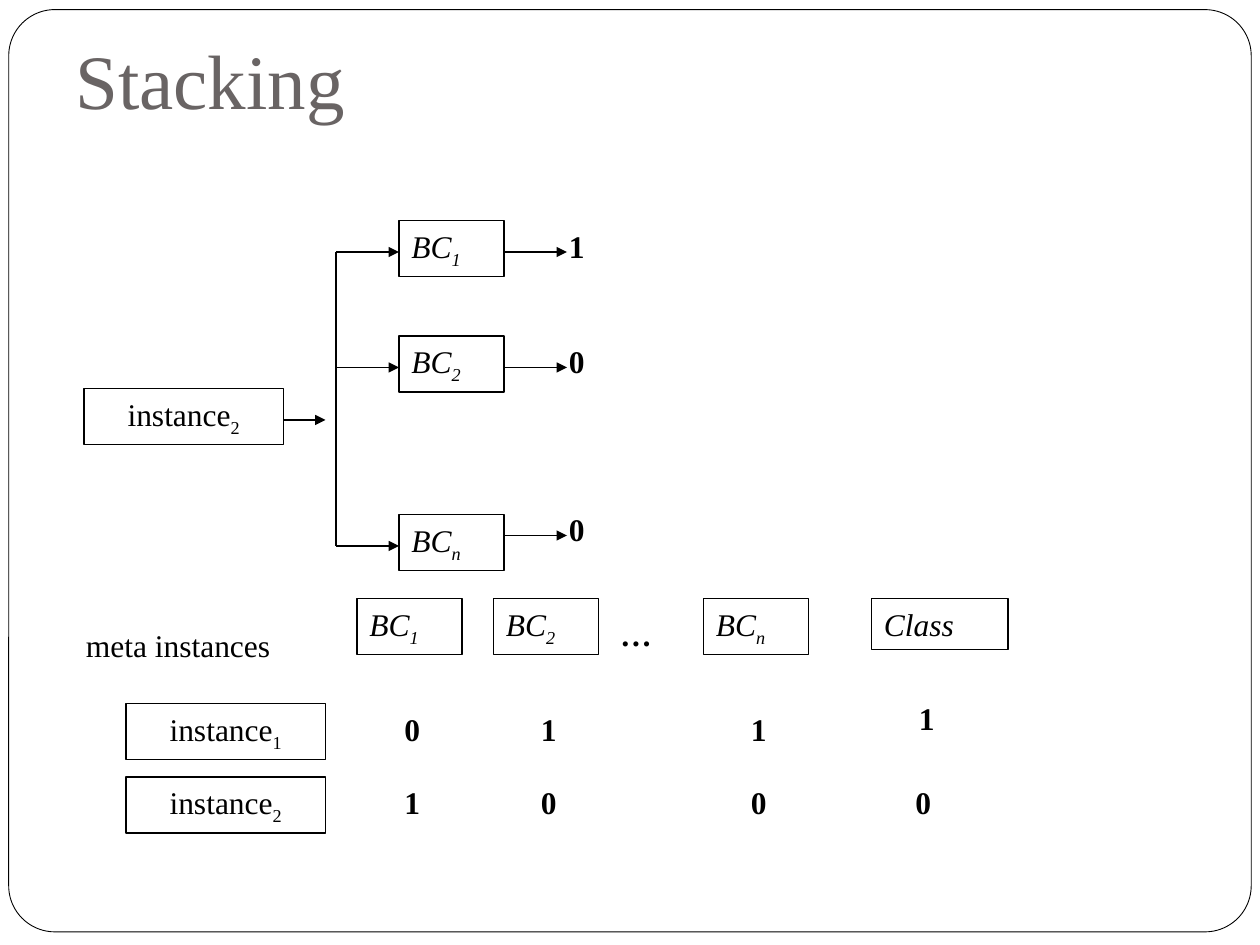
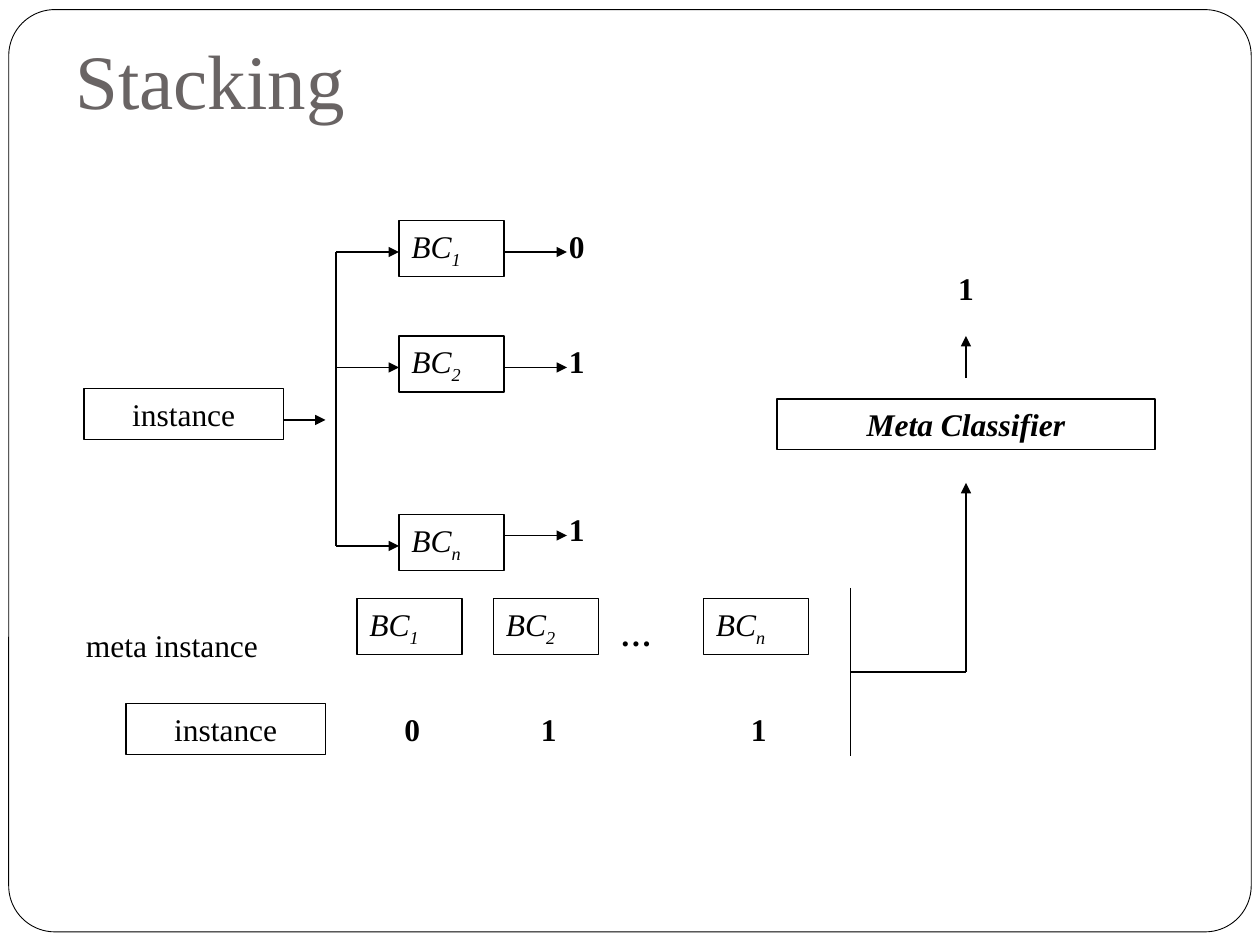
from dataclasses import dataclass

from lxml.etree import SubElement
from pptx import Presentation
from pptx.dml.color import RGBColor
from pptx.enum.shapes import MSO_CONNECTOR, MSO_SHAPE
from pptx.enum.text import MSO_ANCHOR, PP_ALIGN
from pptx.oxml.ns import qn
from pptx.util import Pt

BLACK = RGBColor(0, 0, 0)
WHITE = RGBColor(255, 255, 255)
TITLE_GREY = RGBColor(0x69, 0x64, 0x64)
FONT = "Times New Roman"
PLAIN_HEIGHT = 29
SUBSCRIPT_HEIGHT = 32
CLASSIFIER_WIDTH = 60
INSTANCE_WIDTH = 114
SUBSCRIPTS = ("1", "2", "n")


@dataclass
class Box:
    """A region given in points."""
    left: float
    top: float
    width: float
    height: float

    def inside(self, left, top, width, height):
        """Return a box placed relative to this one."""
        return Box(self.left + left, self.top + top, width, height)

    def lengths(self):
        """Return the four lengths that a new shape needs."""
        return Pt(self.left), Pt(self.top), Pt(self.width), Pt(self.height)


def write(shape, text, subscript="", size=18, color=BLACK, bold=False, italic=False,
          align=PP_ALIGN.LEFT, anchor=MSO_ANCHOR.TOP):
    """Put one line of text, with an optional subscript, into a shape."""
    text_frame = shape.text_frame
    text_frame.word_wrap = True
    text_frame.vertical_anchor = anchor
    paragraph = text_frame.paragraphs[0]
    paragraph.text = text
    paragraph.alignment = align
    if subscript:
        run = paragraph.add_run()
        run.text = subscript
        run._r.get_or_add_rPr().set("baseline", "-25000")
    for run in paragraph.runs:
        run.font.name = FONT
        run.font.size = Pt(size)
        run.font.bold = bold
        run.font.italic = italic
        run.font.color.rgb = color


def add_label(slide, box, text, **style):
    """Add text without an outline."""
    write(slide.shapes.add_textbox(*box.lengths()), text, **style)


def add_outlined(slide, box, text, **style):
    """Add text in a thin black rectangle."""
    shape = slide.shapes.add_shape(MSO_SHAPE.RECTANGLE, *box.lengths())
    shape.shadow.inherit = False
    shape.fill.background()
    shape.line.color.rgb = BLACK
    shape.line.width = Pt(0.75)
    write(shape, text, **style)


def add_line(slide, box, start, end, arrow=False):
    """Draw a straight line between two points of a region."""
    connector = slide.shapes.add_connector(
        MSO_CONNECTOR.STRAIGHT,
        Pt(box.left + start[0]), Pt(box.top + start[1]),
        Pt(box.left + end[0]), Pt(box.top + end[1]))
    connector.line.color.rgb = BLACK
    connector.line.width = Pt(0.75)
    if arrow:
        SubElement(connector.line._get_or_add_ln(), qn("a:tailEnd"), type="triangle")
    SubElement(connector._element.spPr, qn("a:effectLst"))


def add_instance(slide, box, left, top, subscript):
    """Add an instance box to a region."""
    height = SUBSCRIPT_HEIGHT if subscript else PLAIN_HEIGHT
    add_outlined(slide, box.inside(left, top, INSTANCE_WIDTH, height), "instance",
                 subscript=subscript, align=PP_ALIGN.CENTER)


def add_classifier(slide, box, left, top, subscript):
    """Add a base classifier box to a region."""
    add_outlined(slide, box.inside(left, top, CLASSIFIER_WIDTH, SUBSCRIPT_HEIGHT), "BC",
                 subscript=subscript, italic=True)


def add_titled_slide(presentation, title):
    """Add a blank slide with the rounded frame and the title."""
    slide = presentation.slides.add_slide(presentation.slide_layouts[6])
    frame = slide.shapes.add_shape(MSO_SHAPE.ROUNDED_RECTANGLE, *Box(5, 5.5, 710, 527).lengths())
    frame.adjustments[0] = 0.05
    frame.shadow.inherit = False
    frame.fill.solid()
    frame.fill.fore_color.rgb = WHITE
    frame.line.color.rgb = BLACK
    frame.line.width = Pt(0.5)
    add_label(slide, Box(36, 0, 648, 90), title, size=44, color=TITLE_GREY,
              anchor=MSO_ANCHOR.MIDDLE)
    return slide


def add_ensemble(slide, box, subscript, outputs):
    """Draw an instance that feeds the base classifiers and their outputs."""
    bus, classifier_left = 144, 180
    classifier_right = classifier_left + CLASSIFIER_WIDTH
    classifier_tops = (0, 66, 168)
    output_tops = (0, 66, 162)
    axis = 18
    add_instance(slide, box, 0, 96, subscript)
    add_line(slide, box, (INSTANCE_WIDTH, 114), (138, 114), arrow=True)
    add_line(slide, box, (bus, classifier_tops[0] + axis), (bus, classifier_tops[-1] + axis))
    for top, output_top, name, output in zip(classifier_tops, output_tops, SUBSCRIPTS, outputs):
        add_classifier(slide, box, classifier_left, top, name)
        add_line(slide, box, (bus, top + axis), (classifier_left, top + axis), arrow=True)
        add_line(slide, box, (classifier_right, output_top + axis),
                 (classifier_right + 36, output_top + axis), arrow=True)
        add_label(slide, box.inside(classifier_right + 30, output_top, 36, PLAIN_HEIGHT),
                  output, bold=True)


def add_meta_instances(slide, box, label, rows):
    """Lay out the base classifier outputs as rows of meta instances."""
    columns = (162, 240, 360)
    add_label(slide, box.inside(0, 12, 216, PLAIN_HEIGHT), label)
    for left, name in zip(columns, SUBSCRIPTS):
        add_classifier(slide, box, left, 0, name)
    add_label(slide, box.inside(306, 6, 42, PLAIN_HEIGHT), "…", bold=True, italic=True)
    for index, (subscript, values) in enumerate(rows):
        top = 60 + 42 * index
        add_instance(slide, box, 30, top, subscript)
        for left, value in zip(columns, values):
            add_label(slide, box.inside(left + 20, top, 24, PLAIN_HEIGHT), value, bold=True)


def add_class_column(slide, box):
    """Add the true class of each meta instance."""
    add_outlined(slide, box.inside(0, 0, 78, PLAIN_HEIGHT), "Class", italic=True)
    for value, left, top in (("1", 20, 54), ("0", 18, 102)):
        add_label(slide, box.inside(left, top, 24, PLAIN_HEIGHT), value, bold=True)


def add_meta_classifier(slide, box, output):
    """Draw the meta classifier, the bracket that feeds it and its output."""
    middle = box.width / 2
    bracket, elbow = 42, 234
    add_label(slide, box.inside(middle - 12, 0, 24, PLAIN_HEIGHT), output,
              bold=True, align=PP_ALIGN.CENTER)
    add_line(slide, box, (middle, 66), (middle, 42), arrow=True)
    add_outlined(slide, box.inside(0, 78, box.width, PLAIN_HEIGHT), "Meta Classifier",
                 bold=True, italic=True, align=PP_ALIGN.CENTER)
    add_line(slide, box, (bracket, 186), (bracket, 282))
    add_line(slide, box, (bracket, elbow), (middle, elbow))
    add_line(slide, box, (middle, elbow), (middle, 126), arrow=True)


def main():
    """Build both slides and save them."""
    presentation = Presentation()
    presentation.slide_width, presentation.slide_height = Pt(720), Pt(540)
    ensemble_box = Box(48, 126, 306, 200)
    meta_box = Box(42, 342, 420, 134)

    training = add_titled_slide(presentation, "Stacking")
    add_ensemble(training, ensemble_box, "2", "100")
    add_meta_instances(training, meta_box, "meta instances", [("1", "011"), ("2", "100")])
    add_class_column(training, Box(498, 342, 78, 134))

    prediction = add_titled_slide(presentation, "Stacking")
    add_ensemble(prediction, ensemble_box, "", "011")
    add_meta_instances(prediction, meta_box, "meta instance", [("", "011")])
    add_meta_classifier(prediction, Box(444, 150, 216, 282), "1")

    presentation.save("out.pptx")


if __name__ == "__main__":
    main()
